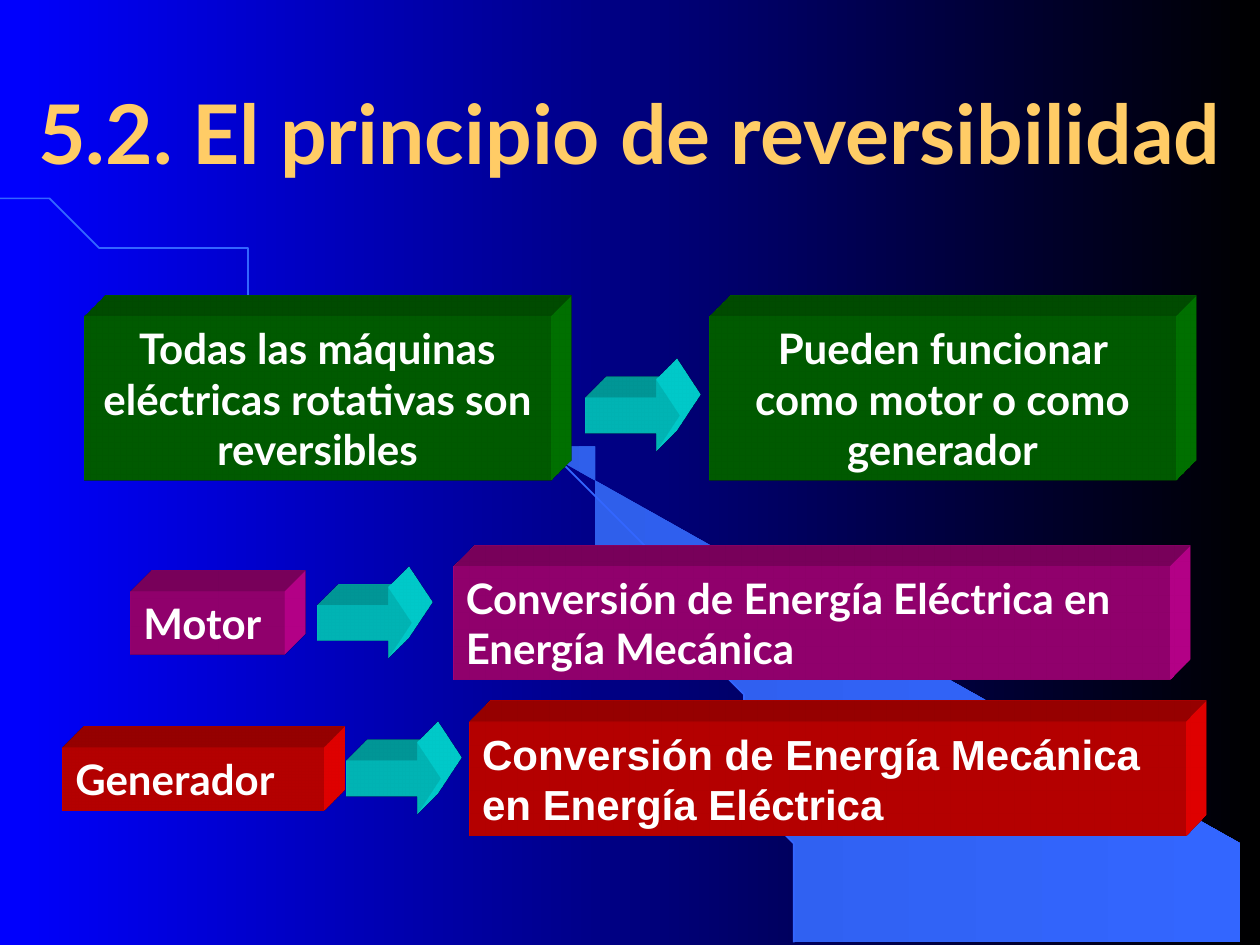
from lxml import etree
from pptx import Presentation
from pptx.dml.color import RGBColor
from pptx.enum.shapes import MSO_SHAPE as Kind
from pptx.enum.text import MSO_ANCHOR as Anchor, PP_ALIGN as Align
from pptx.oxml import parse_xml
from pptx.util import Cm, Pt

NS = "http://schemas.openxmlformats.org/drawingml/2006/main"
WIDE, HIGH = 25.4, 19.05
ARC = [(-0.1, 4.22), (9.04, 5.33), (15.8, 11.63), (15.8, HIGH)]
BODY = {"name": "Lato", "size": Pt(24), "bold": True}
HEAD = {"name": "Lato", "size": Pt(47), "bold": True}


def tone(code):
    """Turn a hex string into a colour."""
    return RGBColor.from_string(code)


def shade(fill, start, end):
    """Fill from left to right between two colours."""
    fill.gradient()
    fill.gradient_angle = 0
    for stop, code, place in zip(fill.gradient_stops, (start, end), (0, 1)):
        stop.color.rgb = tone(code)
        stop.position = place


def style(font, form, code):
    """Apply the format values and the colour to a font."""
    for key, value in form.items():
        setattr(font, key, value)
    font.color.rgb = tone(code)


def bend(start):
    """Return points of the arc from the given share of it to its end."""
    points = []
    for step in range(61):
        t = start + (1 - start) * step / 60
        u = 1 - t
        parts = (u ** 3, 3 * u * u * t, 3 * u * t * t, t ** 3)
        points.append(tuple(sum(k * p[i] for k, p in zip(parts, ARC)) for i in (0, 1)))
    return points


def trace(slide, points, close):
    """Draw an outline through the points."""
    pen = slide.shapes.build_freeform(*points[0], scale=Cm(1))
    pen.add_line_segments(points[1:], close=close)
    shape = pen.convert_to_shape()
    shape.shadow.inherit = False
    return shape


def backdrop(slide):
    """Draw the background with its beam and arc."""
    shade(slide.background.fill, "0000FF", "000000")
    beam = trace(slide, bend(0.38) + [(WIDE, HIGH), (WIDE, 17.35)], True)
    shade(beam.fill, "2E5DE7", "3366FF")
    beam.line.fill.background()
    arc = trace(slide, bend(0.004), False)
    arc.fill.background()
    arc.line.color.rgb = tone("3366FF")
    arc.line.width = Pt(1)


def title(slide, x, y, w, h, text):
    """Write the title with a black text shadow."""
    frame = slide.shapes.add_textbox(Cm(x), Cm(y), Cm(w), Cm(h)).text_frame
    frame.word_wrap = True
    frame.vertical_anchor = Anchor.MIDDLE
    para = frame.paragraphs[0]
    para.alignment = Align.CENTER
    run = para.add_run()
    run.text = text
    style(run.font, HEAD, "FFCC66")
    glow = parse_xml(
        f'<a:effectLst xmlns:a="{NS}"><a:outerShdw dist="35921" dir="2700000">'
        '<a:srgbClr val="000000"/></a:outerShdw></a:effectLst>')
    run.font.fill._xPr.find(f"{{{NS}}}solidFill").addnext(glow)


def block(slide, kind, x, y, w, h, code):
    """Draw a solid that is extruded to the upper right."""
    shape = slide.shapes.add_shape(kind, Cm(x), Cm(y), Cm(w), Cm(h))
    shape.shadow.inherit = False
    shape.fill.solid()
    shape.fill.fore_color.rgb = tone(code)
    shape.line.fill.background()
    props = shape.fill._xPr
    scene = etree.SubElement(props, f"{{{NS}}}scene3d")
    etree.SubElement(scene, f"{{{NS}}}camera", prst="legacyObliqueTopRight")
    etree.SubElement(scene, f"{{{NS}}}lightRig", rig="legacyFlat3", dir="b")
    solid = etree.SubElement(props, f"{{{NS}}}sp3d", extrusionH="430200", prstMaterial="legacyMatte")
    for name in ("bevelT", "bevelB"):
        etree.SubElement(solid, f"{{{NS}}}{name}", w="13500", h="13500", prst="angle")
    side = etree.SubElement(solid, f"{{{NS}}}extrusionClr")
    etree.SubElement(side, f"{{{NS}}}srgbClr", val=code)
    return shape


def label(slide, x, y, w, h, text, code, align, face):
    """Draw a block with white text."""
    frame = block(slide, Kind.RECTANGLE, x, y, w, h, code).text_frame
    frame.word_wrap = True
    frame.vertical_anchor = Anchor.TOP
    para = frame.paragraphs[0]
    para.alignment = align
    run = para.add_run()
    run.text = text
    style(run.font, BODY | {"name": face}, "FFFFFF")


def row(slide, x, mid, left, right, arrow, code, align=Align.LEFT, face="Lato", drop=0):
    """Draw two labels and the arrow between them around a middle height."""
    text, w, h = left
    label(slide, x, mid - h / 2, w, h, text, code, align, "Lato")
    text, gap, w, h = right
    label(slide, x + gap, mid - h / 2, w, h, text, code, align, face)
    w, h = 1.9, 1.45
    shape = block(slide, Kind.RIGHT_ARROW, x + arrow, mid + drop - h / 2, w, h, "00FFFF")
    shape.adjustments[1] = 0.33


def main():
    """Build and save the slide."""
    deck = Presentation()
    deck.slide_width, deck.slide_height = Cm(WIDE), Cm(HIGH)
    slide = deck.slides.add_slide(deck.slide_layouts[6])
    backdrop(slide)
    title(slide, 0.2, 1.07, 25, 3.18, "5.2. El principio de reversibilidad")
    row(slide, 1.7, 8.03,
        ("Todas las máquinas eléctricas rotativas son reversibles", 9.4, 3.3),
        ("Pueden funcionar como motor o como generador", 12.6, 9.4, 3.3),
        10.11, "008000", Align.CENTER, drop=0.35)
    row(slide, 2.64, 12.56, ("Motor", 3.1, 1.27),
        ("Conversión de Energía Eléctrica en Energía Mecánica", 6.5, 14.43, 2.29),
        3.76, "CC0099")
    row(slide, 1.27, 15.7, ("Generador", 5.26, 1.27),
        ("Conversión de Energía Mecánica en Energía Eléctrica", 8.2, 14.43, 2.29),
        5.71, "FF0000", face="Arial")
    deck.save("out.pptx")


if __name__ == "__main__":
    main()
